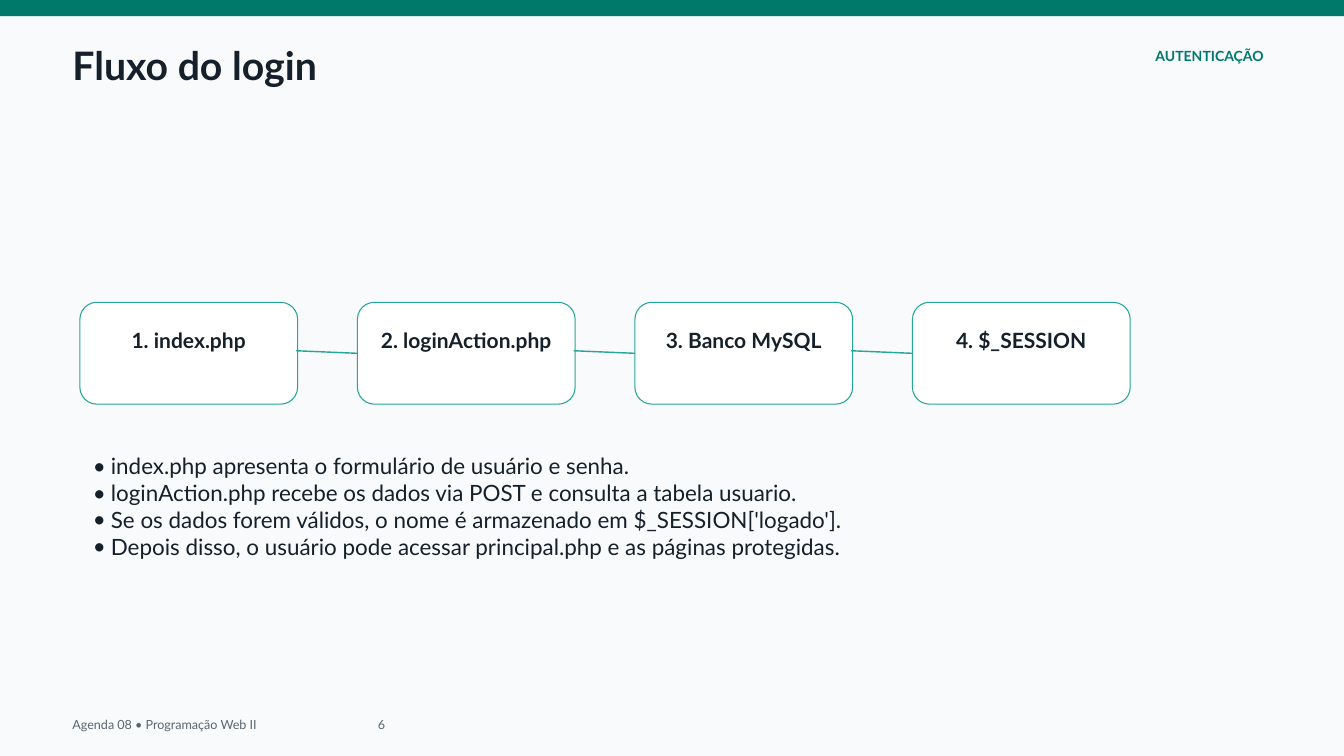
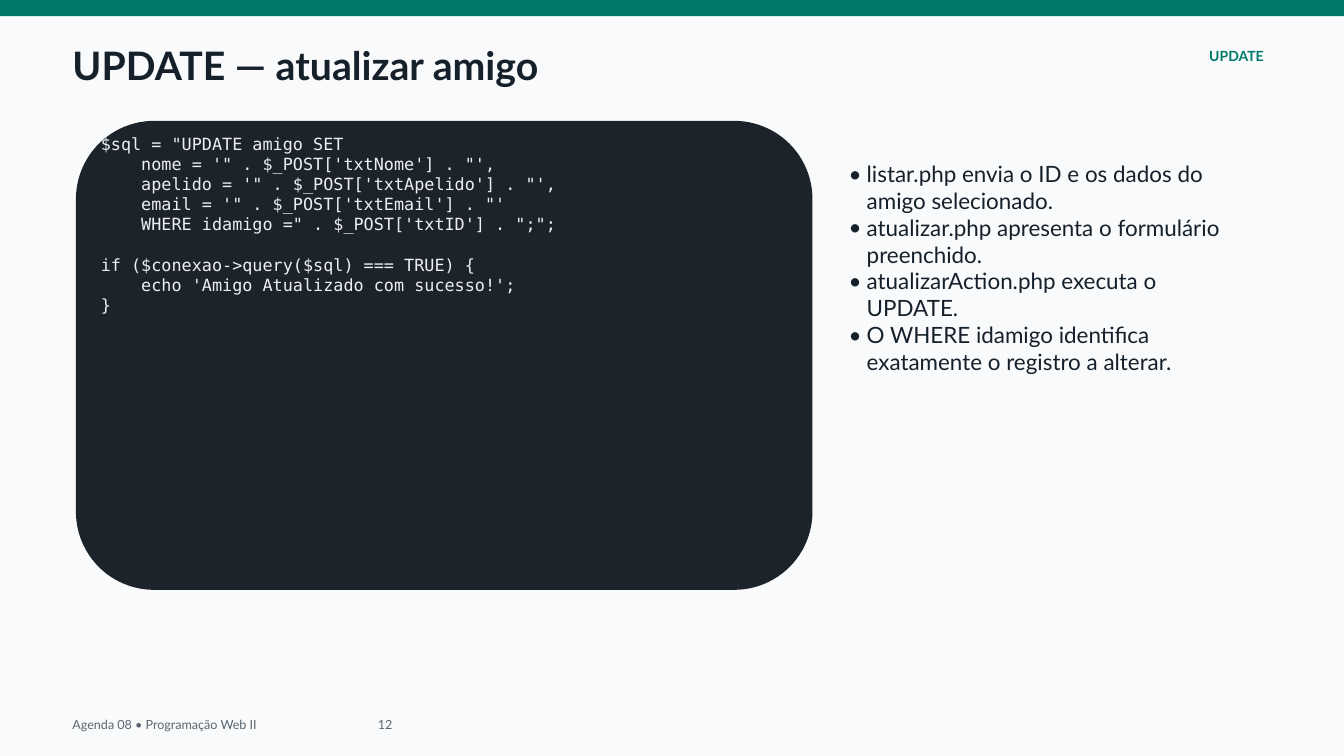
from lxml.etree import SubElement
from pptx import Presentation
from pptx.dml.color import RGBColor
from pptx.enum.shapes import MSO_CONNECTOR, MSO_SHAPE
from pptx.enum.text import MSO_ANCHOR, MSO_AUTO_SIZE, PP_ALIGN
from pptx.oxml.ns import qn
from pptx.util import Cm, Pt

# Theme
PAPER = RGBColor(0xF8, 0xFA, 0xFC)
WHITE = RGBColor(0xFF, 0xFF, 0xFF)
GREEN = RGBColor(0x00, 0x79, 0x6B)
TEAL = RGBColor(0x26, 0xA6, 0x9A)
INK = RGBColor(0x16, 0x20, 0x2A)
GREY = RGBColor(0x5A, 0x66, 0x70)
NIGHT = RGBColor(0x1D, 0x23, 0x2A)
PALE = RGBColor(0xEB, 0xF0, 0xF2)
SANS = "Lato"
MONO = "DejaVu Sans Mono"
WIDTH, HEIGHT = 50.8, 28.58
LEADING = 1.2
HANG = 0.68

# Wording
FOOTER = "Agenda 08 • Programação Web II"
STEPS = ["1. index.php", "2. loginAction.php", "3. Banco MySQL", "4. $_SESSION"]
LOGIN = [
    "index.php apresenta o formulário de usuário e senha.",
    "loginAction.php recebe os dados via POST e consulta a tabela usuario.",
    "Se os dados forem válidos, o nome é armazenado em $_SESSION['logado'].",
    "Depois disso, o usuário pode acessar principal.php e as páginas protegidas.",
]
UPDATE = [
    "listar.php envia o ID e os dados do amigo selecionado.",
    "atualizar.php apresenta o formulário preenchido.",
    "atualizarAction.php executa o UPDATE.",
    "O WHERE idamigo identifica exatamente o registro a alterar.",
]
CODE = """$sql = "UPDATE amigo SET
    nome = '" . $_POST['txtNome'] . "',
    apelido = '" . $_POST['txtApelido'] . "',
    email = '" . $_POST['txtEmail'] . "'
    WHERE idamigo =" . $_POST['txtID'] . ";";

if ($conexao->query($sql) === TRUE) {
    echo 'Amigo Atualizado com sucesso!';
}"""


# Text helpers
def cm(box):
    return [Cm(size) for size in box]


def place(shape, box):
    shape.left, shape.top, shape.width, shape.height = cm(box)


def setup(frame):
    frame.word_wrap = True
    frame.auto_size = MSO_AUTO_SIZE.NONE
    frame.vertical_anchor = MSO_ANCHOR.TOP
    frame.margin_left = frame.margin_top = 0
    frame.margin_right = frame.margin_bottom = 0
    return frame


def write(para, text, size, color, bold=False, font=SANS, align=PP_ALIGN.LEFT, gap=0):
    para.alignment = align
    para.line_spacing = Pt(size * LEADING)
    para.space_before = Pt(gap)
    run = para.add_run()
    run.text = text
    run.font.name = font
    run.font.size = Pt(size)
    run.font.bold = bold
    run.font.color.rgb = color


def lines(frame, count):
    return [frame.paragraphs[0]] + [frame.add_paragraph() for _ in range(count - 1)]


def label(slide, box):
    return setup(slide.shapes.add_textbox(*cm(box)).text_frame)


def block(slide, kind, box, fill, edge=None):
    shape = slide.shapes.add_shape(kind, *cm(box))
    shape.shadow.inherit = False
    shape.fill.solid()
    shape.fill.fore_color.rgb = fill
    if edge is None:
        shape.line.fill.background()
    else:
        shape.line.color.rgb = edge
        shape.line.width = Pt(1.13)
    return shape


# Parts shared by all slides
def frame_slide(deck, title, tag, number):
    slide = deck.slides.add_slide(deck.slide_layouts[1])
    block(slide, MSO_SHAPE.RECTANGLE, (0, 0, WIDTH, 0.61), GREEN)
    head = slide.shapes.title
    place(head, (2.74, 1.57, 44.48, 1.85))
    write(setup(head.text_frame).paragraphs[0], title, 42, INK, True)
    mark = label(slide, (40.28, 1.78, 7.49, 1.09))
    write(mark.paragraphs[0], tag, 15, GREEN, True, align=PP_ALIGN.RIGHT)
    para = label(slide, (2.74, 27.1, 45.24, 0.61)).paragraphs[0]
    tabs = SubElement(para._p.get_or_add_pPr(), qn("a:tabLst"))
    SubElement(tabs, qn("a:tab"), pos=str(Cm(11.54)), algn="l")
    write(para, f"{FOOTER}\t{number}", 13.5, GREY)
    return slide


# Bulleted list in the body placeholder
def bullets(slide, box, items):
    body = slide.placeholders[1]
    place(body, box)
    frame = setup(body.text_frame)
    for para, item in zip(lines(frame, len(items)), items):
        props = para._p.get_or_add_pPr()
        props.set("marL", str(Cm(HANG)))
        props.set("indent", str(-Cm(HANG)))
        SubElement(props, qn("a:buFont"), typeface=SANS)
        SubElement(props, qn("a:buChar"), char="•")
        write(para, item, 24, INK)


# Row of linked steps
def flow(slide, box, steps):
    left, top, width, height = box
    node = 8.23
    pitch = (width - node) / (len(steps) - 1)
    for i, step in enumerate(steps):
        x = left + i * pitch
        shape = block(slide, MSO_SHAPE.ROUNDED_RECTANGLE, (x, top, node, height), WHITE, TEAL)
        frame = setup(shape.text_frame)
        frame.margin_top = Cm(0.78)
        write(frame.paragraphs[0], step, 22.5, INK, True, align=PP_ALIGN.CENTER)
        if i < len(steps) - 1:
            ends = (x + node - 0.06, top + 1.83, x + pitch + 0.08, top + 1.93)
            link = slide.shapes.add_connector(MSO_CONNECTOR.STRAIGHT, *cm(ends))
            link.line.color.rgb = TEAL
            link.line.width = Pt(1.5)
            SubElement(link._element.spPr, qn("a:effectLst"))


# Dark code panel
def listing(slide, box, code):
    left, top, width, height = box
    block(slide, MSO_SHAPE.ROUNDED_RECTANGLE, box, NIGHT)
    frame = label(slide, (left + 0.94, top + 0.48, width - 1.88, height - 1.07))
    parts = [part.split("\n") for part in code.split("\n\n")]
    rows = [(row, i > 0 and j == 0) for i, part in enumerate(parts)
            for j, row in enumerate(part)]
    for para, (row, first) in zip(lines(frame, len(rows)), rows):
        write(para, row, 18, PALE, font=MONO, gap=18 * LEADING if first else 0)


# Slides
def login_slide(deck):
    slide = frame_slide(deck, "Fluxo do login", "AUTENTICAÇÃO", 6)
    flow(slide, (3.02, 11.43, 39.7, 3.85), STEPS)
    bullets(slide, (3.51, 17.09, 44.09, 6.99), LOGIN)


def update_slide(deck):
    slide = frame_slide(deck, "UPDATE — atualizar amigo", "UPDATE", 12)
    listing(slide, (2.87, 4.57, 27.84, 17.73), CODE)
    bullets(slide, (32.08, 6.05, 15.11, 14.22), UPDATE)


def main():
    deck = Presentation()
    deck.slide_width, deck.slide_height = Cm(WIDTH), Cm(HEIGHT)
    back = deck.slide_master.background.fill
    back.solid()
    back.fore_color.rgb = PAPER
    login_slide(deck)
    update_slide(deck)
    deck.save("out.pptx")


if __name__ == "__main__":
    main()
